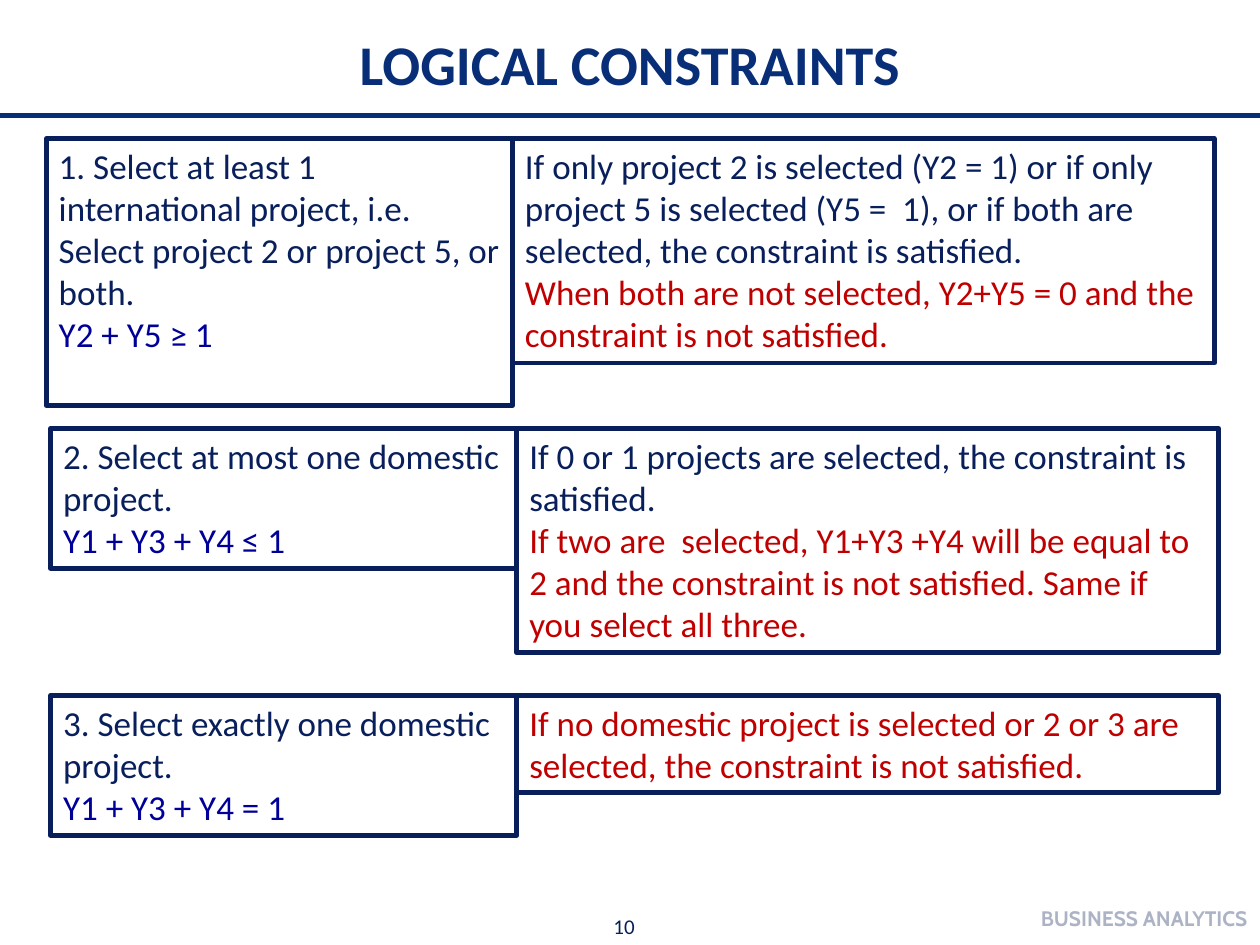
from lxml.etree import SubElement
from pptx import Presentation
from pptx.dml.color import RGBColor
from pptx.enum.shapes import MSO_CONNECTOR, MSO_SHAPE
from pptx.enum.text import MSO_ANCHOR as Anchor, PP_ALIGN as Align
from pptx.oxml.ns import qn
from pptx.util import Pt

NAVY, TITLE_BLUE, BLUE, RED = "081F5B", "092E78", "000099", "C00000"
FOOTER_BLUE = "06194C"

TITLE = "LOGICAL CONSTRAINTS"
PAGE = "10"
FOOTER = "BUSINESS ANALYTICS"

# Each row: left, top, then (height, coloured paragraphs) for rule and explanation
CONSTRAINTS = [
    (26.5, 79.2,
     (152.6, [("1. Select at least 1 international project, i.e. "
               "Select project 2 or project 5, or both.", NAVY),
              ("Y2 + Y5 ≥ 1", BLUE)]),
     (128.2, [("If only project 2 is selected (Y2 = 1) or if only project 5 is selected "
               "(Y5 =  1), or if both are selected, the constraint is satisfied.", NAVY),
              ("When both are not selected, Y2+Y5 = 0 and the constraint "
               "is not satisfied.", RED)])),
    (29, 244.8,
     (80, [("2. Select at most one domestic project.", NAVY),
           ("Y1 + Y3 + Y4 ≤ 1", BLUE)]),
     (128.2, [("If 0 or 1 projects are selected, the constraint is satisfied.", NAVY),
              ("If two are  selected, Y1+Y3 +Y4 will be equal to 2 and the constraint "
               "is not satisfied. Same if you select all three.", RED)])),
    (29, 397.4,
     (80, [("3. Select exactly one domestic project.", NAVY),
           ("Y1 + Y3 + Y4 = 1", BLUE)]),
     (55.7, [("If no domestic project is selected or 2 or 3 are selected, "
              "the constraint is not satisfied.", RED)])),
]
RULE_WIDTH, EXPLANATION_WIDTH = 266.4, 401


def rgb(color):
    return RGBColor.from_string(color)


def write(shape, paragraphs, size=20, font="Calibri", bold=False,
          align=Align.LEFT, anchor=Anchor.TOP):
    """Fill a shape with (text, colour) paragraphs."""
    frame = shape.text_frame
    frame.word_wrap = True
    frame.vertical_anchor = anchor
    for i, (text, color) in enumerate(paragraphs):
        paragraph = frame.add_paragraph() if i else frame.paragraphs[0]
        paragraph.alignment = align
        run = paragraph.add_run()
        run.text = text
        run.font.size, run.font.name, run.font.bold = Pt(size), font, bold
        run.font.color.rgb = rgb(color)


def add_box(left, top, width, height, paragraphs):
    box = slide.shapes.add_shape(MSO_SHAPE.RECTANGLE, Pt(left), Pt(top), Pt(width), Pt(height))
    box.shadow.inherit = False
    box.fill.background()
    box.line.color.rgb = rgb(NAVY)
    box.line.width = Pt(2.75)
    write(box, paragraphs)


def add_label(left, top, width, height, text, color, **style):
    label = slide.shapes.add_textbox(Pt(left), Pt(top), Pt(width), Pt(height))
    write(label, [(text, color)], size=12, **style)
    return label


deck = Presentation()
deck.slide_width, deck.slide_height = Pt(720), Pt(540)
slide = deck.slides.add_slide(deck.slide_layouts[5])

title = slide.shapes.title
title.left, title.top, title.width, title.height = Pt(36), Pt(13.5), Pt(648), Pt(45)
write(title, [(TITLE, TITLE_BLUE)], size=32, bold=True, align=Align.CENTER)

divider = slide.shapes.add_connector(MSO_CONNECTOR.STRAIGHT, 0, Pt(66), Pt(720), Pt(66))
divider.line.color.rgb = rgb(TITLE_BLUE)
divider.line.width = Pt(3)
SubElement(divider.element.spPr, qn("a:effectLst"))

for left, top, (rule_height, rule), (explanation_height, explanation) in CONSTRAINTS:
    add_box(left, top, RULE_WIDTH, rule_height, rule)
    add_box(left + RULE_WIDTH, top, EXPLANATION_WIDTH, explanation_height, explanation)

add_label(343.5, 518.4, 150, 21.6, PAGE, NAVY)
footer = add_label(480, 510, 240, 28.8, FOOTER, FOOTER_BLUE, font="Cabin", bold=True,
                   align=Align.RIGHT, anchor=Anchor.MIDDLE)
for footer_color in footer.element.iter(qn("a:srgbClr")):
    SubElement(footer_color, qn("a:alpha"), val="33000")

deck.save("out.pptx")
